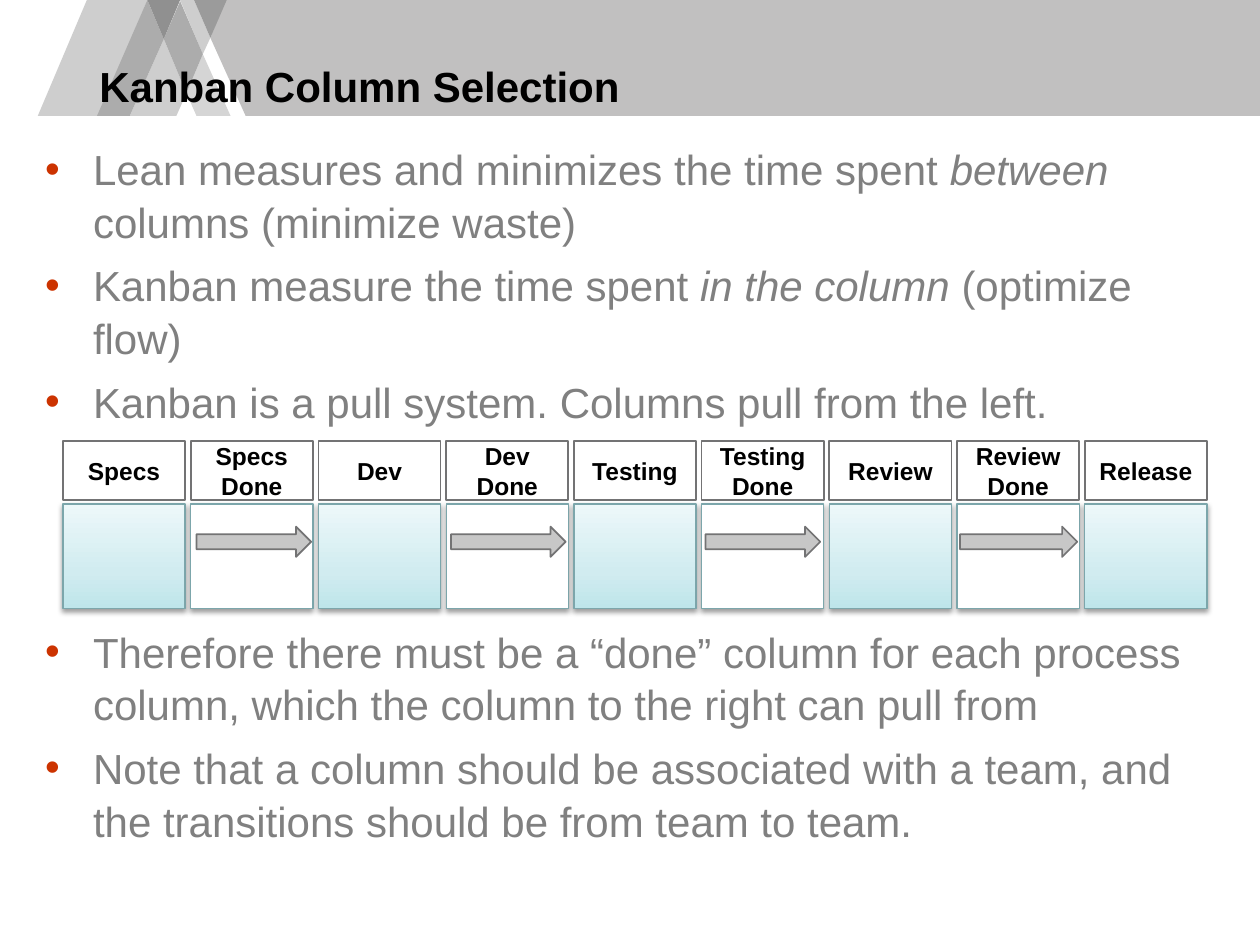
from dataclasses import dataclass

from lxml import etree
from pptx import Presentation
from pptx.dml.color import RGBColor
from pptx.enum.shapes import MSO_SHAPE
from pptx.enum.text import MSO_ANCHOR, PP_ALIGN
from pptx.oxml.ns import qn
from pptx.util import Inches, Pt

RECTANGLE = MSO_SHAPE.RECTANGLE
RIGHT_ARROW = MSO_SHAPE.RIGHT_ARROW
MIDDLE = MSO_ANCHOR.MIDDLE
CENTER = PP_ALIGN.CENTER


@dataclass(frozen=True)
class Theme:
    font: str = "Arial"
    heading_size: int = 24
    label_size: int = 14
    black: str = "000000"
    white: str = "FFFFFF"
    body: str = "808080"
    bullet: str = "CC3300"
    border: str = "737374"
    card_border: str = "7CA6AB"
    arrow: str = "C7C7C7"
    card_stops: tuple = ((0, "BEE5EA"), (35, "D1ECF0"), (100, "EDF8FA"))


THEME = Theme()

HEADER_PIECES = [
    ("C1C0C0", [(1.67, 0.3), (1.95, 0.92), (10, 0.92), (10, 0), (1.79, 0)]),
    ("D5D5D5", [(1.61, 0.43), (1.48, 0.74), (1.56, 0.92), (1.83, 0.92)]),
    ("CECECE", [(1.54, 0), (1.43, 0), (1.61, 0.43), (1.67, 0.3)]),
    ("CECECE", [(1.3, 0.31), (1.03, 0.92), (1.4, 0.92), (1.48, 0.74)]),
    ("CECECE", [(1.17, 0), (0.69, 0), (0.3, 0.92), (0.78, 0.92)]),
    ("9B9B9B", [(1.8, 0), (1.54, 0), (1.67, 0.3)]),
    ("ACACAC", [(1.43, 0.01), (1.3, 0.31), (1.48, 0.74), (1.61, 0.43)]),
    ("ACACAC", [(1.17, 0), (0.77, 0.92), (1.03, 0.92), (1.3, 0.31)]),
    ("909090", [(1.43, 0), (1.17, 0), (1.3, 0.31)]),
]

TOP_BULLETS = [
    [("Lean measures and minimizes the time spent ", False), ("between", True),
     (" columns (minimize waste)", False)],
    [("Kanban measure the time spent ", False), ("in the column ", True),
     ("(optimize flow)", False)],
    [("Kanban is a pull system. Columns pull from the left.", False)],
]
BOTTOM_BULLETS = [
    [("Therefore there must be a “done” column for each process column, "
      "which the column to the right can pull from", False)],
    [("Note that a column should be associated with a team, and the "
      "transitions should be from team to team.", False)],
]

COLUMNS = ["Specs", "Specs\nDone", "Dev", "Dev\nDone", "Testing",
           "Testing\nDone", "Review", "Review\nDone", "Release"]
FIRST_LEFT, LAST_LEFT = 0.5, 8.61
COLUMN_WIDTH = 0.97


def style_font(para, size, color, bold=False):
    para.font.name = THEME.font
    para.font.size = Pt(size)
    para.font.bold = bold
    para.font.color.rgb = RGBColor.from_string(color)


def add_piece(page, color, points):
    corners = [(Inches(x), Inches(y)) for x, y in points]
    builder = page.shapes.build_freeform(*corners[0])
    builder.add_line_segments(corners[1:], close=True)
    piece = builder.convert_to_shape()
    piece.shadow.inherit = False
    piece.fill.solid()
    piece.fill.fore_color.rgb = RGBColor.from_string(color)
    piece.line.fill.background()


def add_text_box(page, left, top, width, height, top_inset):
    box = page.shapes.add_textbox(*map(Inches, (left, top, width, height)))
    frame = box.text_frame
    frame.word_wrap = True
    frame.margin_top = Inches(top_inset)
    return frame


def add_title(page, text):
    para = add_text_box(page, 0.69, 0.4, 8.62, 0.52, 0.08).paragraphs[0]
    para.text = text
    style_font(para, THEME.heading_size, THEME.black, bold=True)


def set_bullet(para):
    props = para._p.get_or_add_pPr()
    props.set("marL", str(Inches(0.38)))
    props.set("indent", str(-Inches(0.38)))
    color = etree.SubElement(props, qn("a:buClr"))
    etree.SubElement(color, qn("a:srgbClr"), val=THEME.bullet)
    etree.SubElement(props, qn("a:buFont"), typeface=THEME.font)
    etree.SubElement(props, qn("a:buChar"), char="•")


def add_bullets(page, top, height, bullets):
    frame = add_text_box(page, 0.26, top, 9.49, height, 0.05)
    for index, spans in enumerate(bullets):
        para = frame.add_paragraph() if index else frame.paragraphs[0]
        set_bullet(para)
        para.line_spacing = 1.05
        para.space_after = Pt(6)
        style_font(para, THEME.heading_size, THEME.body)
        for text, italic in spans:
            span = para.add_run()
            span.text = text
            if italic:
                span.font.italic = True


def add_block(page, kind, place, fill, border, border_width):
    block = page.shapes.add_shape(kind, *map(Inches, place))
    block.shadow.inherit = False
    block.fill.solid()
    block.fill.fore_color.rgb = RGBColor.from_string(fill)
    block.line.color.rgb = RGBColor.from_string(border)
    block.line.width = Pt(border_width)
    return block


def add_label(page, left, text):
    place = (left, 3.5, COLUMN_WIDTH, 0.47)
    label = add_block(page, RECTANGLE, place, THEME.white, THEME.border, 1)
    frame = label.text_frame
    frame.word_wrap = True
    frame.vertical_anchor = MIDDLE
    frame.margin_left = frame.margin_right = Inches(0.04)
    frame.margin_top = frame.margin_bottom = Inches(0.04)
    frame.text = text
    for para in frame.paragraphs:
        para.alignment = CENTER
        style_font(para, THEME.label_size, THEME.black, bold=True)


def set_gradient(block, stops):
    block.fill.gradient()
    block.fill.gradient_angle = 90
    stop_list = block._element.spPr.find(".//" + qn("a:gsLst"))
    for stop in list(stop_list):
        stop_list.remove(stop)
    for position, color in stops:
        stop = etree.SubElement(stop_list, qn("a:gs"), pos=str(position * 1000))
        etree.SubElement(stop, qn("a:srgbClr"), val=color)


def set_shadow(block):
    effects = block._element.spPr.find(qn("a:effectLst"))
    shadow = etree.SubElement(effects, qn("a:outerShdw"), blurRad=str(Pt(3.1)),
                              dist=str(Pt(1.6)), dir="5400000", rotWithShape="0")
    color = etree.SubElement(shadow, qn("a:srgbClr"), val=THEME.black)
    etree.SubElement(color, qn("a:alpha"), val="38000")


def add_card(page, left, is_done):
    place = (left, 4, COLUMN_WIDTH, 0.83)
    card = add_block(page, RECTANGLE, place, THEME.white, THEME.card_border, 0.75)
    if not is_done:
        set_gradient(card, THEME.card_stops)
    set_shadow(card)


def add_board(page):
    step = (LAST_LEFT - FIRST_LEFT) / (len(COLUMNS) - 1)
    for index, name in enumerate(COLUMNS):
        left = FIRST_LEFT + index * step
        add_card(page, left, is_done=index % 2 == 1)
        add_label(page, left, name)
    for index, width in enumerate((0.91, 0.91, 0.91, 0.93)):
        place = (1.56 + index * 2.02, 4.18, width, 0.24)
        add_block(page, RIGHT_ARROW, place, THEME.arrow, THEME.border, 1)


def main():
    deck = Presentation()
    deck.slide_width = Inches(10)
    deck.slide_height = Inches(7.5)
    page = deck.slides.add_slide(deck.slide_layouts[6])
    for color, points in HEADER_PIECES:
        add_piece(page, color, points)
    add_title(page, "Kanban Column Selection")
    add_bullets(page, 1.07, 2.35, TOP_BULLETS)
    add_bullets(page, 4.9, 1.9, BOTTOM_BULLETS)
    add_board(page)
    deck.save("out.pptx")


main()
